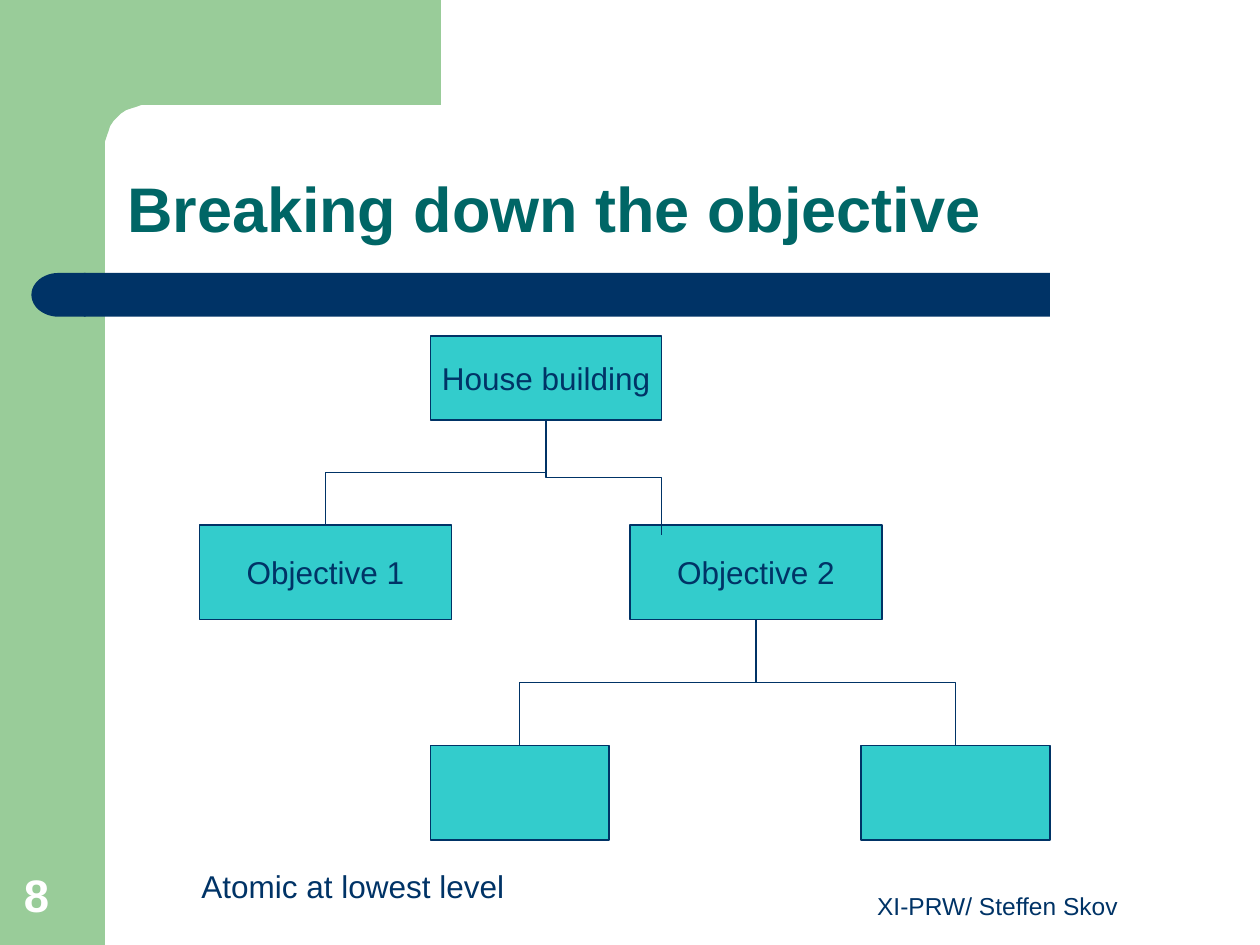
import math
from pptx import Presentation
from pptx import util as u
from pptx.dml.color import RGBColor
from pptx.enum import shapes, text
from pptx.oxml.ns import qn
from lxml import etree

Kind = shapes.MSO_SHAPE
Anchor = text.MSO_ANCHOR
Align = text.PP_ALIGN


def colour(value):
    return RGBColor.from_string(value)


class SlideBuilder:
    font = "Arial"
    navy, teal, green = "003366", "33CCCC", "99CC99"

    def __init__(self, slide):
        self.items = slide.shapes

    def paint(self, shape, fill, line=None):
        shape.shadow.inherit = False
        shape.fill.solid()
        shape.fill.fore_color.rgb = colour(fill)
        if line:
            shape.line.color.rgb = colour(line)
            shape.line.width = u.Pt(0.75)
        else:
            shape.line.fill.background()

    def block(self, kind, bounds, fill, line=None):
        shape = self.items.add_shape(kind, *map(u.Pt, bounds))
        self.paint(shape, fill, line)
        return shape

    def outline(self, points, fill):
        pen = self.items.build_freeform(*points[0], scale=u.Pt(1))
        pen.add_line_segments(points[1:], close=True)
        self.paint(pen.convert_to_shape(), fill)

    def add_words(self, shape, words, size, ink, bold=False, anchor=Anchor.TOP,
                  align=Align.LEFT, wrap=True):
        frame = shape.text_frame
        frame.word_wrap = wrap
        frame.vertical_anchor = anchor
        para = frame.paragraphs[0]
        para.alignment = align
        span = para.add_run()
        span.text = words
        span.font.name = self.font
        span.font.size = u.Pt(size)
        span.font.bold = bold
        span.font.color.rgb = colour(ink)
        return para

    def label(self, bounds, words, size, ink, **style):
        box = self.items.add_textbox(*map(u.Pt, bounds))
        return self.add_words(box, words, size, ink, **style)

    def node(self, bounds, words=""):
        box = self.block(Kind.RECTANGLE, bounds, self.teal, self.navy)
        if words:
            self.add_words(box, words, 18, self.navy, anchor=Anchor.MIDDLE,
                           align=Align.CENTER, wrap=False)

    def branch(self, start, end):
        (x1, y1), (x2, y2) = start, end
        mid_x, mid_y = (x1 + x2) / 2, (y1 + y2) / 2
        half_run, half_drop = (x2 - x1) / 2, (y2 - y1) / 2
        corners = (mid_x - half_drop, mid_y + half_run,
                   mid_x + half_drop, mid_y - half_run)
        link = self.items.add_connector(shapes.MSO_CONNECTOR.ELBOW, *map(u.Pt, corners))
        link.line.color.rgb = colour(self.navy)
        link.line.width = u.Pt(0.75)
        props = link._element.spPr
        props.find(qn("a:xfrm")).set("rot", str(90 * 60000))
        etree.SubElement(props, qn("a:effectLst"))


def top_centre(bounds):
    left, top, width, height = bounds
    return left + width / 2, top


def bottom_centre(bounds):
    left, top, width, height = bounds
    return left + width / 2, top + height


def main():
    deck = Presentation()
    deck.slide_width, deck.slide_height = u.Pt(720), u.Pt(540)
    page = SlideBuilder(deck.slides.add_slide(deck.slide_layouts[6]))

    page.block(Kind.RECTANGLE, (0, 0, 60, 540), page.green)
    centre, radius = 84, 24
    angles = [math.radians(step * 7.5) for step in range(13)]
    curve = [(centre - radius * math.sin(angle), centre - radius * math.cos(angle))
             for angle in angles]
    page.outline([(252, 0), (252, 60), *curve, (60, 92), (36, 92), (36, 0)], page.green)
    page.block(Kind.RECTANGLE, (48, 156, 552, 25), page.navy)
    cap = page.block(Kind.FLOWCHART_DELAY, (18, 156, 31, 25), page.navy)
    cap._element.spPr.find(qn("a:xfrm")).set("flipH", "1")

    page.label((456, 492, 228, 37.5), "XI-PRW/ Steffen Skov", 14, page.navy,
               anchor=Anchor.BOTTOM, align=Align.CENTER)
    page.label((6.5, 492, 46, 38), "8", 26, "FFFFFF", bold=True, anchor=Anchor.BOTTOM)
    title = page.label((65.5, 65.5, 613, 78.5), "Breaking down the objective", 36,
                       "006666", bold=True, anchor=Anchor.BOTTOM)
    title.line_spacing = 0.9

    house = (246, 192, 132, 48)
    first, second = (114, 300, 144, 54), (360, 300, 144, 54)
    leaves = (246, 426, 102, 54), (492, 426, 108, 54)
    page.node(house, "House building")
    page.node(first, "Objective 1")
    page.node(second, "Objective 2")
    page.branch(bottom_centre(house), (378, 306))
    page.branch(bottom_centre(house), top_centre(first))
    for leaf in leaves:
        page.node(leaf)
        page.branch(bottom_centre(second), top_centre(leaf))

    note = page.label((108, 492, 372, 29), "Atomic at lowest level", 18, page.navy)
    note.space_before = u.Pt(11.2)

    deck.save("out.pptx")


if __name__ == "__main__":
    main()
